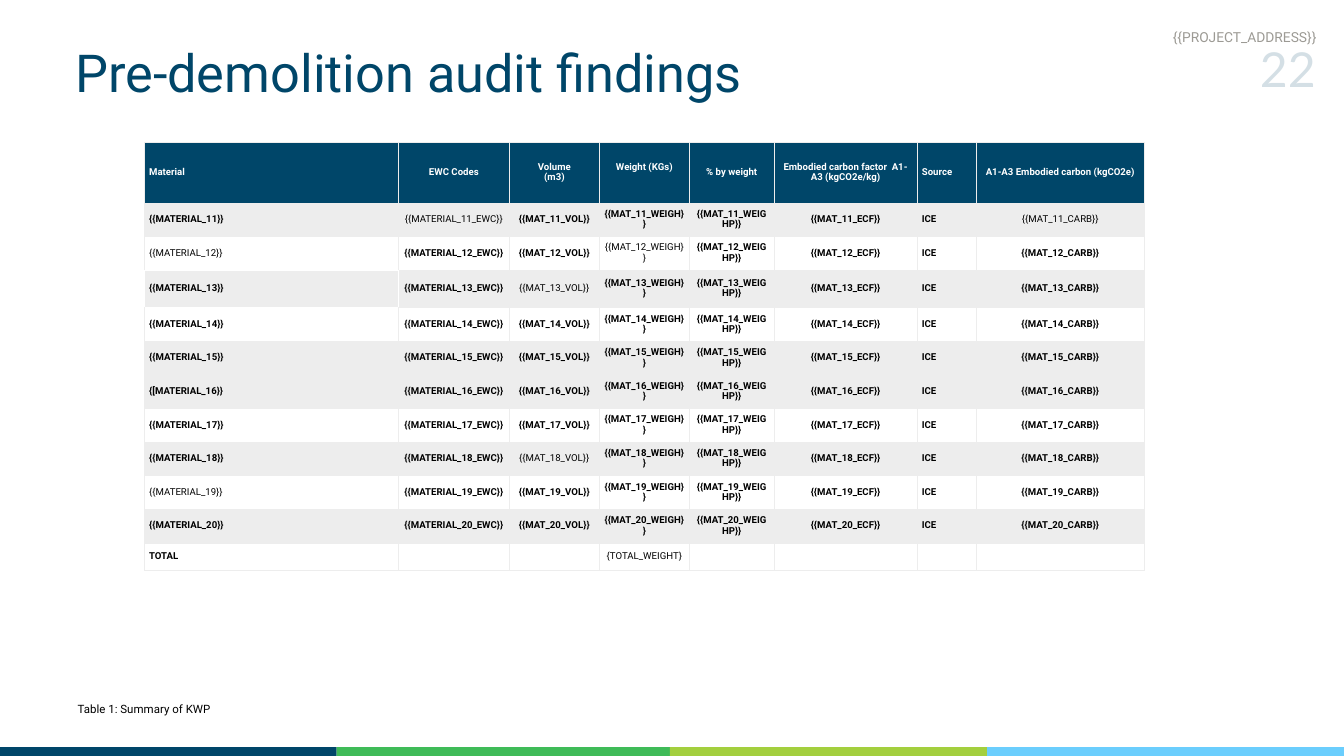
from dataclasses import dataclass

import pptx
import pptx.dml.color
import pptx.enum.shapes
import pptx.enum.text
import pptx.oxml
import pptx.oxml.ns
import pptx.util

Inches = pptx.util.Inches
Pt = pptx.util.Pt
ALIGN = pptx.enum.text.PP_ALIGN


@dataclass(frozen=True)
class Theme:
    """Colours, fonts and type sizes of the slide."""

    navy: str = "004669"
    green: str = "3FBB58"
    lime: str = "A3CF3E"
    sky: str = "6BCEFD"
    grey: str = "9C9A94"
    band: str = "EDEDED"
    white: str = "FFFFFF"
    black: str = "000000"
    body_font: str = "Roboto"
    number_font: str = "Lato"
    title: float = 56
    number: float = 51.6
    address: float = 14.8
    caption: float = 12.3
    cell: float = 10.3
    border: float = 0.64


THEME = Theme()
COLUMNS = [3.78, 1.65, 1.34, 1.34, 1.26, 2.13, 0.88, 2.5]
ROWS = [0.91, 0.5, 0.5, 0.56] + [0.5] * 7 + [0.4]
HEADERS = ["Material", "EWC Codes", "Volume\n(m3)", "Weight (KGs)", "% by weight",
           "Embodied carbon factor  A1-A3 (kgCO2e/kg)", "Source",
           "A1-A3 Embodied carbon (kgCO2e)"]
LEFT_COLUMNS = {0, 6}
SHADED_ROWS = {1, 3, 5, 6, 8, 10}
REGULAR_CELLS = {(1, 1), (1, 7), (2, 0), (2, 3), (3, 2), (8, 2), (9, 0), (11, 3)}
WHITE_EDGED_CELL = (3, 0)
NEIGHBOURS = {"L": (0, -1), "R": (0, 1), "T": (-1, 0), "B": (1, 0)}


def rgb(value):
    """Turn a hex string into a colour."""
    return pptx.dml.color.RGBColor.from_string(value)


def style_paragraph(p, size, color, leading, align, font=THEME.body_font, bold=False):
    """Set the type and spacing of a paragraph."""
    p.alignment = align
    p.line_spacing = Pt(leading)
    p.font.name = font
    p.font.size = Pt(size)
    p.font.bold = bold
    p.font.color.rgb = rgb(color)


def add_text(slide, box, text, size, color, leading, align=ALIGN.LEFT, font=THEME.body_font):
    """Place one line of text in a box without insets and return its paragraph."""
    tf = slide.shapes.add_textbox(*map(Inches, box)).text_frame
    tf.margin_left = tf.margin_top = tf.margin_right = tf.margin_bottom = 0
    tf.word_wrap = True
    tf.auto_size = pptx.enum.text.MSO_AUTO_SIZE.SHAPE_TO_FIT_TEXT
    p = tf.paragraphs[0]
    p.text = text
    style_paragraph(p, size, color, leading, align, font)
    return p


def add_page_number(slide, box, text):
    """Place the large translucent page number."""
    p = add_text(slide, box, text, THEME.number, THEME.navy, 72.3,
                 ALIGN.RIGHT, THEME.number_font)
    color = p.font.fill._xPr.find(".//" + pptx.oxml.ns.qn("a:srgbClr"))
    alpha = pptx.oxml.parse_xml(f'<a:alpha {pptx.oxml.ns.nsdecls("a")} val="17000"/>')
    color.append(alpha)


def add_footer_bar(slide, box):
    """Fill the box with adjoining coloured segments."""
    left, top, width, height = box
    segments = [(5.01, THEME.navy), (4.96, THEME.green), (4.72, THEME.lime), (5.48, THEME.sky)]
    scale = width / sum(part for part, _ in segments)
    for part, color in segments:
        sp = slide.shapes.add_shape(pptx.enum.shapes.MSO_SHAPE.RECTANGLE, Inches(left),
                                    Inches(top), Inches(part * scale), Inches(height))
        sp.shadow.inherit = False
        sp.fill.solid()
        sp.fill.fore_color.rgb = rgb(color)
        sp.line.fill.background()
        left += part * scale


def table_rows():
    """Return the text of every table row."""
    rows = [HEADERS]
    for n in range(11, 21):
        opening = "{[" if n == 16 else "{{"
        mat = "{{MAT_" + str(n)
        rows.append([f"{opening}MATERIAL_{n}}}}}", f"{{{{MATERIAL_{n}_EWC}}}}",
                     mat + "_VOL}}", mat + "_WEIGH}}", mat + "_WEIGHP}}",
                     mat + "_ECF}}", "ICE", mat + "_CARB}}"])
    rows.append(["TOTAL", "", "", "{TOTAL_WEIGHT}", "", "", "", ""])
    return rows


def set_borders(cell, row, col):
    """Draw the four edges of a cell, white around the white-edged cell."""
    for i, (side, (dr, dc)) in enumerate(NEIGHBOURS.items()):
        white = WHITE_EDGED_CELL in ((row, col), (row + dr, col + dc))
        color = THEME.white if white else THEME.band
        line = pptx.oxml.parse_xml(
            f'<a:ln{side} {pptx.oxml.ns.nsdecls("a")} w="{int(Pt(THEME.border))}">'
            f'<a:solidFill><a:srgbClr val="{color}"/></a:solidFill></a:ln{side}>')
        cell._tc.get_or_add_tcPr().insert(i, line)


def fill_cell(cell, row, col, text):
    """Write and style one table cell."""
    header = row == 0
    cell.margin_left = cell.margin_right = cell.margin_top = cell.margin_bottom = Inches(0.07)
    cell.vertical_anchor = pptx.enum.text.MSO_ANCHOR.MIDDLE
    cell.text = text
    for p in cell.text_frame.paragraphs:
        style_paragraph(p, THEME.cell, THEME.white if header else THEME.black, 11.1,
                        ALIGN.LEFT if col in LEFT_COLUMNS else ALIGN.CENTER,
                        bold=(row, col) not in REGULAR_CELLS)
    shade = THEME.band if row in SHADED_ROWS else THEME.white
    cell.fill.solid()
    cell.fill.fore_color.rgb = rgb(THEME.navy if header else shade)
    set_borders(cell, row, col)


def add_audit_table(slide, box):
    """Place the table of materials in the box."""
    table = slide.shapes.add_table(len(ROWS), len(COLUMNS), *map(Inches, box)).table
    table.first_row = table.horz_banding = False
    for column, width in zip(table.columns, COLUMNS):
        column.width = Inches(width)
    for row, height in zip(table.rows, ROWS):
        row.height = Inches(height)
    for r, texts in enumerate(table_rows()):
        for c, text in enumerate(texts):
            fill_cell(table.cell(r, c), r, c, text)
    table.cell(0, HEADERS.index("Weight (KGs)")).margin_bottom = Inches(0.22)


def add_findings_slide(prs):
    """Build the audit findings slide."""
    slide = prs.slides.add_slide(prs.slide_layouts[6])
    add_text(slide, (1.12, 0.45, 11.13, 1.17), "Pre-demolition audit findings",
             THEME.title, THEME.navy, 78.4)
    add_text(slide, (1.12, 10.41, 2.05, 0.25), "Table 1: Summary of KWP",
             THEME.caption, THEME.black, 17.3, ALIGN.CENTER)
    add_footer_bar(slide, (0, 11.12, 20.17, 0.26))
    add_page_number(slide, (18.41, 0.44, 1.17, 1.11), "22")
    add_audit_table(slide, (2.15, 2.11, sum(COLUMNS), sum(ROWS)))
    add_text(slide, (12.2, 0.39, 7.39, 0.3), "{{PROJECT_ADDRESS}}",
             THEME.address, THEME.grey, 20.6, ALIGN.RIGHT)


def main():
    """Create the presentation and save it."""
    prs = pptx.Presentation()
    prs.slide_width = Inches(20)
    prs.slide_height = Inches(11.25)
    add_findings_slide(prs)
    prs.save("out.pptx")


if __name__ == "__main__":
    main()
